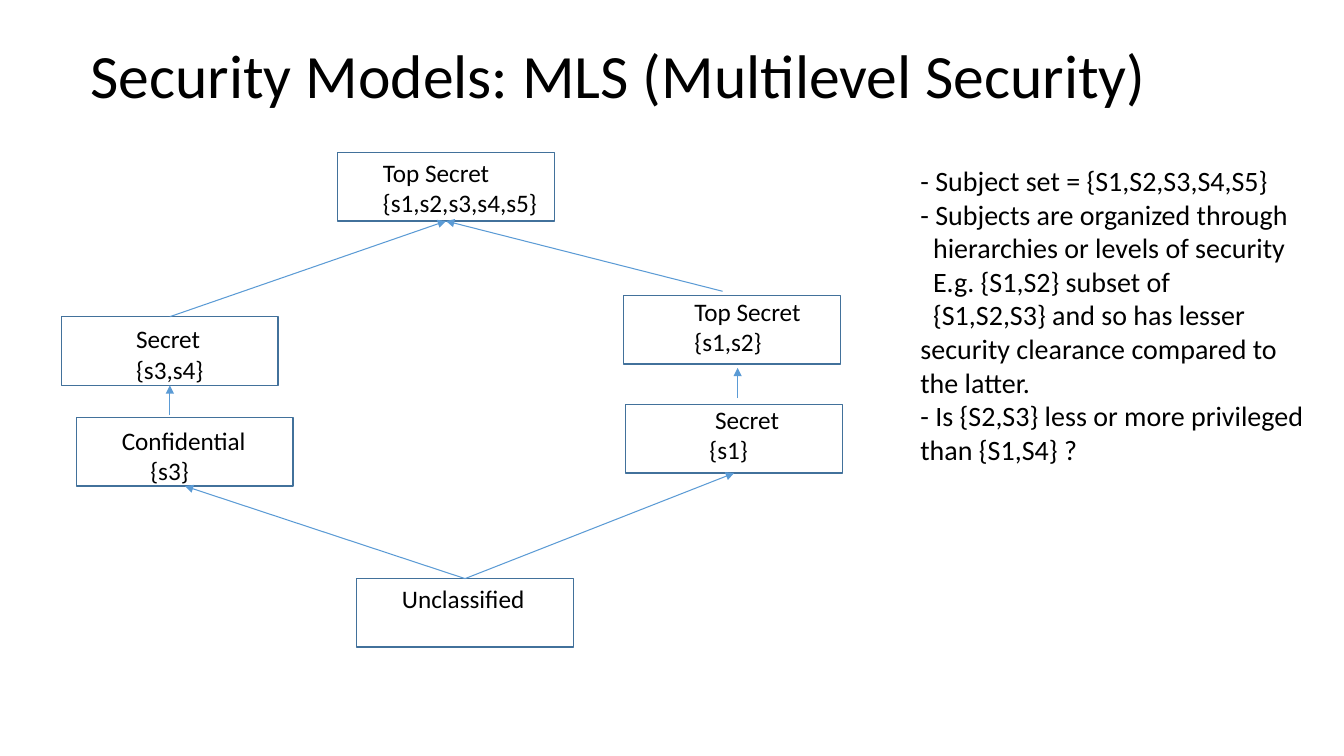
from lxml.etree import SubElement
from pptx import Presentation
from pptx.dml.color import RGBColor
from pptx.enum.shapes import MSO_CONNECTOR, MSO_SHAPE
from pptx.enum.text import MSO_ANCHOR, MSO_AUTO_SIZE, PP_ALIGN
from pptx.oxml.ns import qn
from pptx.util import Cm, Pt

BLACK = RGBColor(0x00, 0x00, 0x00)
BOX_BLUE = RGBColor(0x42, 0x71, 0x9B)
ARROW_BLUE = RGBColor(0x5B, 0x9B, 0xD5)
FONT = "Calibri"
BOX_WIDTH, BOX_HEIGHT = Cm(5.46), Cm(1.73)
TOP, BOTTOM = 0, 2

# (line, first-line indent in cm)
NOTES = [
    ("- Subject set = {S1,S2,S3,S4,S5}", 0),
    ("- Subjects are organized through", 0),
    ("hierarchies or levels of security", 0.32),
    ("E.g. {S1,S2} subset of", 0.32),
    ("{S1,S2,S3} and so has lesser security clearance compared to the latter.", 0.32),
    ("- Is {S2,S3} less or more privileged than {S1,S4} ?", 0),
]


def place(shape, left, top, width, height):
    shape.left, shape.top = Cm(left), Cm(top)
    shape.width, shape.height = Cm(width), Cm(height)


def format_paragraph(paragraph, size):
    paragraph.alignment = PP_ALIGN.LEFT
    paragraph.font.name = FONT
    paragraph.font.size = Pt(size)
    paragraph.font.color.rgb = BLACK


def write_lines(frame, lines, size):
    """Fill a text frame with unbulleted (text, first-line indent) lines."""
    frame.word_wrap = True
    frame.auto_size = MSO_AUTO_SIZE.NONE
    frame.vertical_anchor = MSO_ANCHOR.TOP
    for number, (text, indent) in enumerate(lines):
        paragraph = frame.add_paragraph() if number else frame.paragraphs[0]
        paragraph.text = text
        properties = paragraph._p.get_or_add_pPr()
        properties.set("marL", "0")
        properties.set("indent", str(Cm(indent)))
        SubElement(properties, qn("a:buNone"))
        paragraph.space_before = Pt(0)
        format_paragraph(paragraph, size)


def add_title(slide, text):
    title = slide.shapes.title
    place(title, 2.03, 0.15, 29.21, 3.68)
    title.text_frame.text = text
    title.text_frame.vertical_anchor = MSO_ANCHOR.MIDDLE
    title.text_frame.paragraphs[0].line_spacing = 0.9
    format_paragraph(title.text_frame.paragraphs[0], 44)


def add_notes(slide):
    notes = slide.placeholders[1]
    place(notes, 22.94, 3.99, 10.34, 8.81)
    write_lines(notes.text_frame, NOTES, 20)


def add_level_box(slide, left, top):
    box = slide.shapes.add_shape(
        MSO_SHAPE.RECTANGLE, Cm(left), Cm(top), BOX_WIDTH, BOX_HEIGHT)
    box.shadow.inherit = False
    box.fill.background()
    box.line.color.rgb = BOX_BLUE
    box.line.width = Pt(1)
    return box


def add_label(slide, left, top, width, height, *lines):
    label = slide.shapes.add_textbox(Cm(left), Cm(top), Cm(width), Cm(height))
    write_lines(label.text_frame, lines, 18)


def add_arrow(slide, start, end):
    """Draw an arrow; each end is a (box, side) pair or a (x, y) point in cm."""
    arrow = slide.shapes.add_connector(MSO_CONNECTOR.STRAIGHT, 0, 0, 0, 0)
    if isinstance(start[0], (int, float)):
        arrow.begin_x, arrow.begin_y = Cm(start[0]), Cm(start[1])
    else:
        arrow.begin_connect(*start)
    if isinstance(end[0], (int, float)):
        arrow.end_x, arrow.end_y = Cm(end[0]), Cm(end[1])
    else:
        arrow.end_connect(*end)
    arrow.line.color.rgb = ARROW_BLUE
    arrow.line.width = Pt(0.75)
    SubElement(arrow.line._get_or_add_ln(), qn("a:tailEnd"), type="triangle")
    SubElement(arrow._element.spPr, qn("a:effectLst"))


def add_lattice(slide):
    top_secret_all = add_level_box(slide, 8.51, 3.84)
    secret_pair = add_level_box(slide, 1.55, 7.98)
    confidential = add_level_box(slide, 1.93, 10.52)
    unclassified = add_level_box(slide, 8.99, 14.58)
    add_level_box(slide, 15.72, 7.44)
    secret_single = add_level_box(slide, 15.77, 10.19)

    add_arrow(slide, (secret_pair, TOP), (top_secret_all, BOTTOM))
    add_arrow(slide, (4.28, 10.46), (secret_pair, BOTTOM))
    add_arrow(slide, (unclassified, TOP), (confidential, BOTTOM))
    add_arrow(slide, (18.21, 7.34), (top_secret_all, BOTTOM))
    add_arrow(slide, (18.59, 10.03), (18.59, 9.27))
    add_arrow(slide, (unclassified, TOP), (secret_single, BOTTOM))

    add_label(slide, 9.4, 3.84, 4.85, 1.88, ("Top Secret", 0), ("{s1,s2,s3,s4,s5}", 0))
    add_label(slide, 3.18, 8.03, 2.24, 1.8, ("Secret", 0), ("{s3,s4}", 0))
    add_label(slide, 2.82, 10.59, 3.68, 1.8, ("Confidential", 0), ("{s3}", 0.72))
    add_label(slide, 9.88, 14.58, 3.66, 2.69, ("Unclassified", 0))
    add_label(slide, 17.25, 7.34, 3.25, 1.88, ("Top Secret", 0), ("{s1,s2}", 0))
    add_label(slide, 17.63, 10.06, 3.48, 1.88, ("Secret", 0.14), ("{s1}", 0))


def main():
    presentation = Presentation()
    presentation.slide_width, presentation.slide_height = Cm(33.87), Cm(19.05)
    slide = presentation.slides.add_slide(presentation.slide_layouts[1])
    add_title(slide, "Security Models: MLS (Multilevel Security)")
    add_lattice(slide)
    add_notes(slide)
    presentation.save("out.pptx")


if __name__ == "__main__":
    main()
